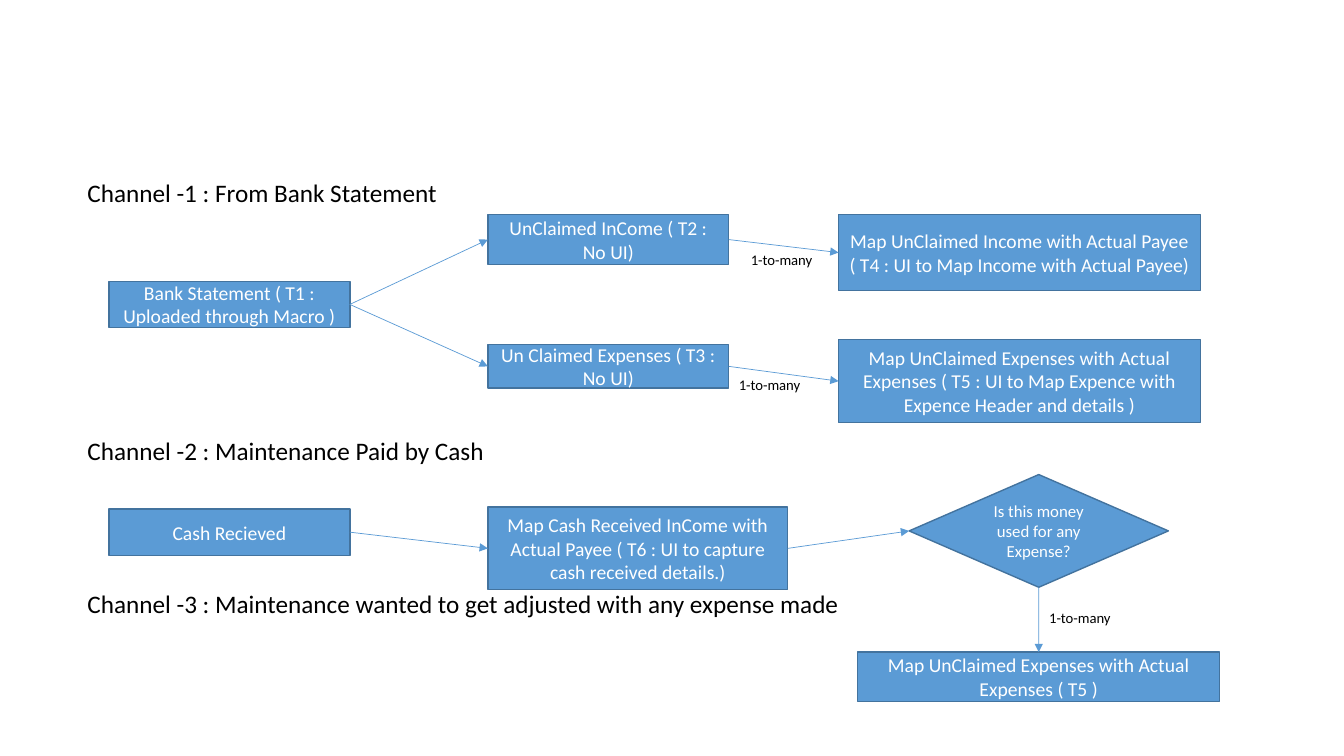
from dataclasses import dataclass

from lxml import etree
from pptx import Presentation
from pptx.dml.color import RGBColor
from pptx.enum.shapes import MSO_CONNECTOR, MSO_SHAPE
from pptx.enum.text import MSO_ANCHOR, MSO_AUTO_SIZE, PP_ALIGN
from pptx.oxml.ns import qn
from pptx.util import Pt

RECTANGLE = MSO_SHAPE.RECTANGLE
DIAMOND = MSO_SHAPE.DIAMOND
STRAIGHT = MSO_CONNECTOR.STRAIGHT
MIDDLE = MSO_ANCHOR.MIDDLE
TOP_ANCHOR = MSO_ANCHOR.TOP
GROW = MSO_AUTO_SIZE.SHAPE_TO_FIT_TEXT
FIXED = MSO_AUTO_SIZE.NONE
CENTER = PP_ALIGN.CENTER
LEFT_ALIGN = PP_ALIGN.LEFT
TOP, LEFT, BOTTOM, RIGHT = range(4)


@dataclass(frozen=True)
class Theme:
    font: str = "Calibri"
    fill: RGBColor = RGBColor(0x5B, 0x9B, 0xD5)
    outline: RGBColor = RGBColor(0x43, 0x73, 0x9E)
    on_fill: RGBColor = RGBColor(0xFF, 0xFF, 0xFF)
    ink: RGBColor = RGBColor(0, 0, 0)
    heading: float = 18
    step: float = 14
    decision: float = 12
    label: float = 10.5
    outline_width: float = 1
    arrow_width: float = 0.5


THEME = Theme()
STEP_FRAME = {"word_wrap": True, "auto_size": FIXED, "vertical_anchor": MIDDLE}
CAPTION_FRAME = {"word_wrap": False, "auto_size": GROW, "vertical_anchor": TOP_ANCHOR}

START_X, MAP_X, PAYEE_X = 77.8, 348.5, 599
START_W, PAYEE_W = 172.1, 258.5
HEADING_X, HEADING_H = 55.4, 28.8
LABEL_W, LABEL_H = 61.2, 20.9

STEPS = {
    "bank": ("Bank Statement ( T1 : Uploaded through Macro )", START_X, 200.9, START_W, 33.1),
    "income": ("UnClaimed InCome ( T2 : No UI)", MAP_X, 153.4, START_W, 35.5),
    "expenses": ("Un Claimed Expenses ( T3 : No UI)", MAP_X, 246.2, START_W, 31),
    "map_expenses": (
        "Map UnClaimed Expenses with Actual Expenses "
        "( T5 : UI to Map Expence with Expence Header and details )",
        PAYEE_X, 242.6, PAYEE_W, 59.3),
    "map_income": (
        "Map UnClaimed Income with Actual Payee ( T4 : UI to Map Income with Actual Payee)",
        PAYEE_X, 153.4, PAYEE_W, 54),
    "cash": ("Cash Recieved", START_X, 363.6, START_W, 33.1),
    "map_cash": (
        "Map Cash Received InCome with Actual Payee ( T6 : UI to capture cash received details.)",
        MAP_X, 362.2, 214.2, 59),
    "adjust": ("Map UnClaimed Expenses with Actual Expenses ( T5 )", 612.7, 465.8, PAYEE_W, 35.5),
}
DECISION = ("Is this money used for any Expense?", 649.4, 339, 185.2, 80.5)
ARROWS = [
    ("bank", RIGHT, "income", LEFT),
    ("bank", RIGHT, "expenses", LEFT),
    ("income", RIGHT, "map_income", LEFT),
    ("expenses", RIGHT, "map_expenses", LEFT),
    ("cash", RIGHT, "map_cash", LEFT),
    ("map_cash", RIGHT, "decision", LEFT),
    ("decision", BOTTOM, "adjust", TOP),
]
HEADINGS = [
    ("Channel -1 : From Bank Statement", 123.1, 273.6),
    ("Channel -2 : Maintenance Paid by Cash", 307.4, 301.7),
    ("Channel -3 : Maintenance wanted to get adjusted with any expense made", 416.9, 567.4),
]
LABEL_SPOTS = [(529.2, 175.7), (520.6, 265), (742.3, 431.3)]


def apply(target, values):
    for attribute, value in values.items():
        setattr(target, attribute, value)


def write(frame, text, size, color, align, frame_format):
    apply(frame, frame_format)
    paragraph = frame.paragraphs[0]
    paragraph.alignment = align
    run = paragraph.add_run()
    run.text = text
    apply(run.font, {"name": THEME.font, "size": Pt(size)})
    run.font.color.rgb = color


def add_step(slide, text, x, y, width, height, preset=RECTANGLE, size=THEME.step):
    step = slide.shapes.add_shape(preset, Pt(x), Pt(y), Pt(width), Pt(height))
    step.shadow.inherit = False
    step.fill.solid()
    step.fill.fore_color.rgb = THEME.fill
    step.line.color.rgb = THEME.outline
    step.line.width = Pt(THEME.outline_width)
    write(step.text_frame, text, size, THEME.on_fill, CENTER, STEP_FRAME)
    return step


def add_caption(slide, text, x, y, width, height, size):
    caption = slide.shapes.add_textbox(Pt(x), Pt(y), Pt(width), Pt(height))
    write(caption.text_frame, text, size, THEME.ink, LEFT_ALIGN, CAPTION_FRAME)


def add_arrow(slide, source, source_side, target, target_side):
    arrow = slide.shapes.add_connector(STRAIGHT, 0, 0, 0, 0)
    arrow.begin_connect(source, source_side)
    arrow.end_connect(target, target_side)
    arrow.line.color.rgb = THEME.fill
    arrow.line.width = Pt(THEME.arrow_width)
    etree.SubElement(arrow.line._get_or_add_ln(), qn("a:tailEnd"), type="triangle")
    etree.SubElement(arrow._element.spPr, qn("a:effectLst"))


def main():
    deck = Presentation()
    apply(deck, {"slide_width": Pt(960), "slide_height": Pt(540)})
    slide = deck.slides.add_slide(deck.slide_layouts[6])

    steps = {key: add_step(slide, *step) for key, step in STEPS.items()}
    steps["decision"] = add_step(slide, *DECISION, preset=DIAMOND, size=THEME.decision)
    for source, source_side, target, target_side in ARROWS:
        add_arrow(slide, steps[source], source_side, steps[target], target_side)
    for text, y, width in HEADINGS:
        add_caption(slide, text, HEADING_X, y, width, HEADING_H, THEME.heading)
    for x, y in LABEL_SPOTS:
        add_caption(slide, "1-to-many", x, y, LABEL_W, LABEL_H, THEME.label)

    deck.save("out.pptx")


if __name__ == "__main__":
    main()
